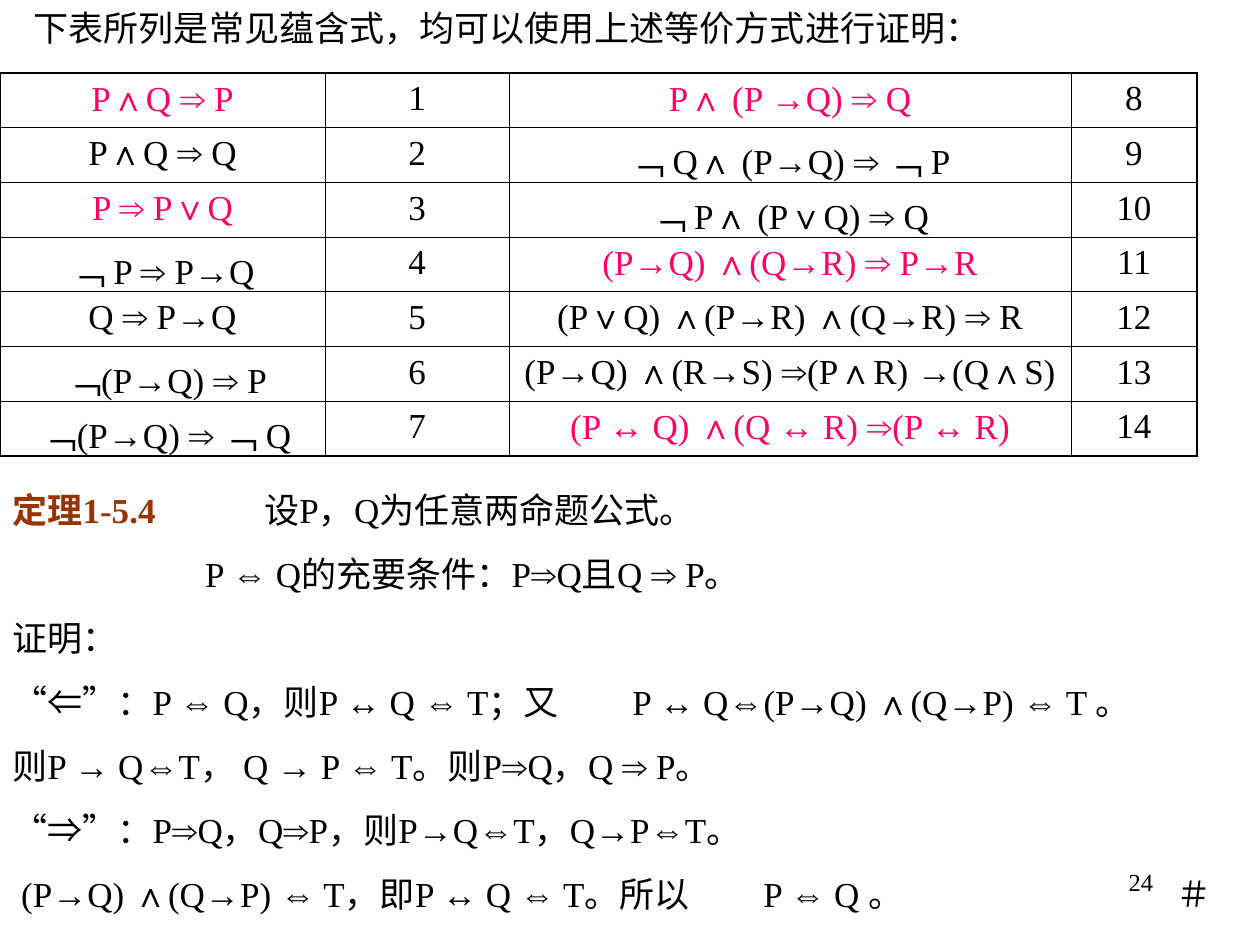
from dataclasses import dataclass
from itertools import groupby

from lxml.etree import SubElement as Sub
from pptx import Presentation
from pptx.dml.color import RGBColor as Rgb
from pptx.enum.text import PP_ALIGN as Align
from pptx.oxml.ns import qn
from pptx.util import Inches, Pt


@dataclass(frozen=True)
class Theme:
    """Colours, fonts and type sizes of the slide."""
    ink: str = "000000"
    rose: str = "FF0066"
    rust: str = "993300"
    serif: str = "Times New Roman"
    sans: str = "Arial"
    body: int = 20
    small: int = 14
    thin: float = 0.45
    thick: float = 1.08


LOOK = Theme()
SIGNS = "⇒⇐⇔↔"
LEFT = ["P∧Q ⇒ P", "P∧Q ⇒ Q", "P ⇒ P∨Q", "﹁ P ⇒ P→Q", "Q ⇒ P→Q",
        " ﹁(P→Q) ⇒ P", " ﹁(P→Q) ⇒ ﹁ Q"]
RIGHT = ["P∧ (P →Q) ⇒ Q", "﹁ Q∧ (P→Q) ⇒ ﹁ P", "﹁ P∧ (P∨Q) ⇒ Q",
         "(P→Q) ∧(Q→R) ⇒ P→R", "(P∨Q) ∧(P→R) ∧(Q→R) ⇒ R",
         "(P→Q) ∧(R→S) ⇒(P∧R) →(Q∧S)", "(P ↔ Q) ∧(Q ↔ R) ⇒(P ↔ R)"]
MARKED = {LEFT[0], LEFT[2], RIGHT[0], RIGHT[3], RIGHT[6]}
PROOF = [
    ("P ⇔ Q的充要条件：P⇒Q且Q ⇒ P。", {"indent": 1.53}),
    ("证明：", {}),
    ("“⇐”：P ⇔ Q，则P ↔ Q ⇔ T；又\tP ↔ Q⇔(P→Q) ∧(Q→P) ⇔ T 。",
     {"tabs": [4.92]}),
    ("则P → Q⇔T， Q → P ⇔ T。则P⇒Q，Q ⇒ P。", {}),
    ("“⇒”：P⇒Q，Q⇒P，则P→Q⇔T，Q→P⇔T。", {}),
    (" (P→Q) ∧(Q→P) ⇔ T，即P ↔ Q ⇔ T。所以\tP ⇔ Q 。\t＃",
     {"tabs": [5.96, 9.24]}),
]


def write(para, text, color=LOOK.ink, size=LOOK.body, bold=False,
          align=Align.LEFT, before=0, indent=0, tabs=()):
    """Add text to a paragraph, with logic signs in the sans font."""
    para.alignment = align
    para.space_before = Pt(before)
    props = para._p.get_or_add_pPr()
    if indent:
        props.set("marL", str(Inches(indent)))
        props.set("indent", "0")
    if tabs:
        stops = Sub(props, qn("a:tabLst"))
        for tab in tabs:
            Sub(stops, qn("a:tab"), pos=str(Inches(tab)), algn="l")
    for sign, chars in groupby(text, lambda char: char in SIGNS):
        run = para.add_run()
        run.text = "".join(chars)
        font = run.font
        font.name = LOOK.sans if sign else LOOK.serif
        font.size, font.bold = Pt(size), bold
        font.color.rgb = Rgb.from_string(color)


def box(slide, left, top, width, height):
    """Add a wrapping text box and return its frame."""
    frame = slide.shapes.add_textbox(
        Inches(left), Inches(top), Inches(width), Inches(height)).text_frame
    frame.word_wrap = True
    return frame


def edge(cell, side, width):
    """Draw one border of a cell."""
    line = Sub(cell._tc.get_or_add_tcPr(), qn("a:ln" + side),
               w=str(Pt(width)))
    fill = Sub(line, qn("a:solidFill"))
    Sub(fill, qn("a:srgbClr"), val=LOOK.ink)


def grid(slide):
    """Add the numbered table of implications."""
    count = len(LEFT)
    rows = [(LEFT[i], str(i + 1), RIGHT[i], str(i + 1 + count))
            for i in range(count)]
    widths = [2.58, 1.46, 4.46, 1]
    table = slide.shapes.add_table(
        count, len(widths), Inches(0), Inches(0.58),
        Inches(9.5), Inches(3.03)).table
    table.first_row = table.horz_banding = False
    for col, width in zip(table.columns, widths):
        col.width = Inches(width)
    for y, row in enumerate(rows):
        for x, text in enumerate(row):
            cell = table.cell(y, x)
            color = LOOK.rose if text in MARKED else LOOK.ink
            write(cell.text_frame.paragraphs[0], text, color=color,
                  align=Align.CENTER)
            outer = {"L": x == 0, "R": x == len(widths) - 1,
                     "T": y == 0, "B": y == count - 1}
            for side, bold in outer.items():
                edge(cell, side, LOOK.thick if bold else LOOK.thin)
            cell.fill.background()


def proof(slide):
    """Add the theorem and its proof."""
    frame = box(slide, 0, 3.83, 9.75, 3.48)
    head = frame.paragraphs[0]
    write(head, "定理1-5.4\t", color=LOOK.rust, bold=True, tabs=[2])
    write(head, "设P，Q为任意两命题公式。")
    for text, form in PROOF:
        write(frame.add_paragraph(), text, before=12.5, **form)


def main():
    """Build and save the slide."""
    deck = Presentation()
    deck.slide_width, deck.slide_height = Inches(10), Inches(7.5)
    slide = deck.slides.add_slide(deck.slide_layouts[6])
    write(box(slide, 7.17, 6.83, 2.08, 0.5).paragraphs[0], "24",
          size=LOOK.small, align=Align.RIGHT)
    write(box(slide, 0.17, 0, 9.5, 0.44).paragraphs[0],
          "下表所列是常见蕴含式，均可以使用上述等价方式进行证明：")
    grid(slide)
    proof(slide)
    deck.save("out.pptx")


if __name__ == "__main__":
    main()
